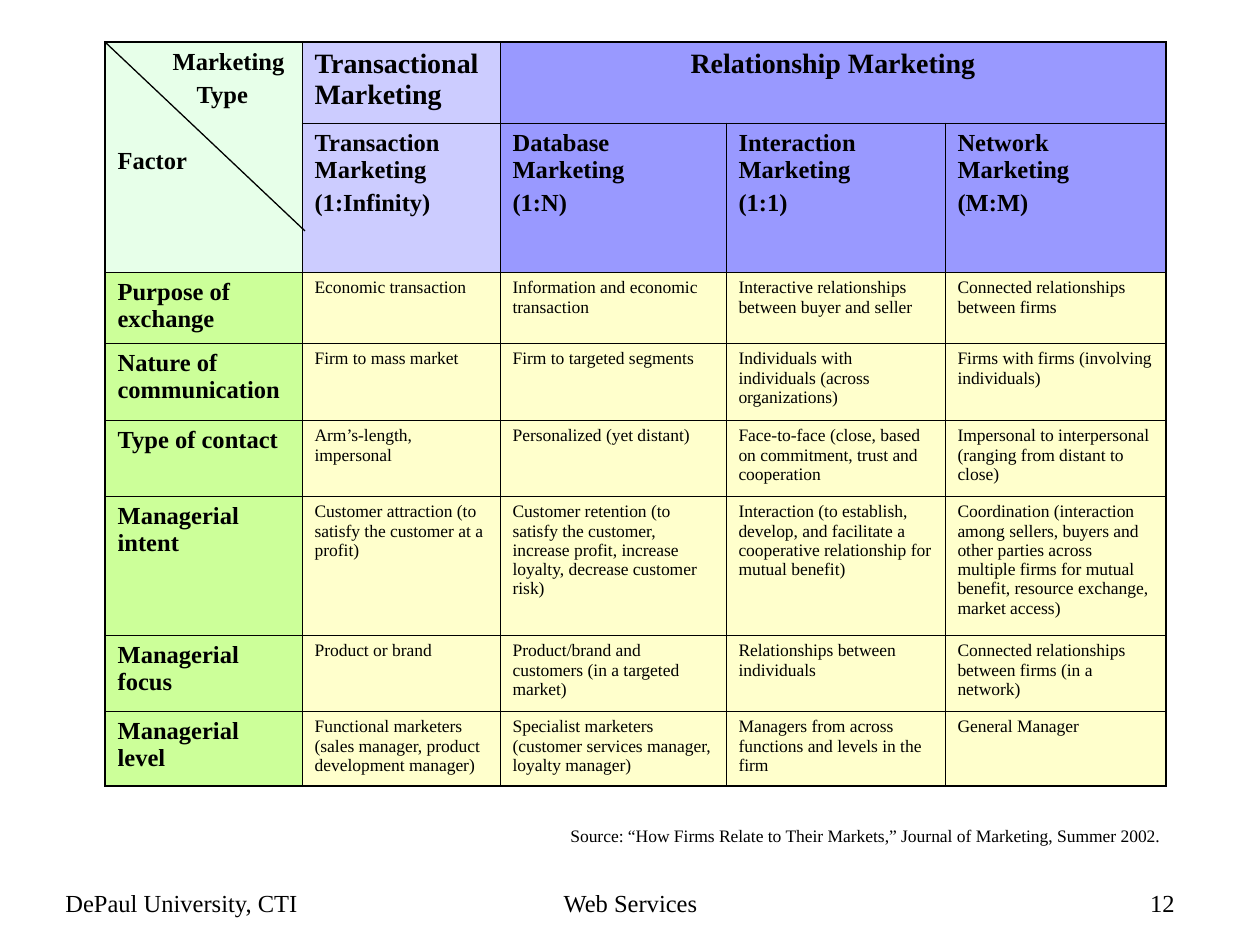
import pptx
import pptx.util
import pptx.dml.color
import pptx.enum.shapes
import pptx.enum.text
import pptx.oxml.ns
from lxml import etree

RGB = pptx.dml.color.RGBColor
ALIGN = pptx.enum.text.PP_ALIGN
SCALE = 914400 / 126
FONT = "Times New Roman"
BLACK = RGB(0x00, 0x00, 0x00)
MINT = RGB(0xE7, 0xFF, 0xE9)
LILAC = RGB(0xCC, 0xCC, 0xFF)
VIOLET = RGB(0x99, 0x99, 0xFF)
GREEN = RGB(0xCC, 0xFF, 0x99)
CREAM = RGB(0xFF, 0xFF, 0xCC)

LEFT, TOP = 105, 42
COLS = [197, 198, 226, 219, 221]
ROWS = [81, 149, 71, 77, 76, 139, 76, 75]
THIN, THICK = 0.45, 1.08

TYPES = [
    ("Transaction Marketing", "(1:Infinity)"),
    ("Database Marketing", "(1:N)"),
    ("Interaction Marketing", "(1:1)"),
    ("Network Marketing", "(M:M)"),
]
FACTORS = [
    ("Purpose of exchange", "Economic transaction",
     "Information and economic transaction",
     "Interactive relationships between buyer and seller",
     "Connected relationships between firms"),
    ("Nature of communication", "Firm to mass market",
     "Firm to targeted segments",
     "Individuals with individuals (across organizations)",
     "Firms with firms (involving individuals)"),
    ("Type of contact", "Arm’s-length, impersonal",
     "Personalized (yet distant)",
     "Face-to-face (close, based on commitment, trust and cooperation",
     "Impersonal to interpersonal (ranging from distant to close)"),
    ("Managerial intent",
     "Customer attraction (to satisfy the customer at a profit)",
     "Customer retention (to satisfy the customer, increase profit, "
     "increase loyalty, decrease customer risk)",
     "Interaction (to establish, develop, and facilitate a cooperative "
     "relationship for mutual benefit)",
     "Coordination (interaction among sellers, buyers and other parties "
     "across multiple firms for mutual benefit, resource exchange, market access)"),
    ("Managerial focus", "Product or brand",
     "Product/brand and customers (in a targeted market)",
     "Relationships between individuals",
     "Connected relationships between firms (in a network)"),
    ("Managerial level",
     "Functional marketers (sales manager, product development manager)",
     "Specialist marketers (customer services manager, loyalty manager)",
     "Managers from across functions and levels in the firm",
     "General Manager"),
]


def px(num):
    return pptx.util.Emu(round(num * SCALE))


def write(frame, *lines, size=14, bold=False, align=ALIGN.LEFT, gaps=(), dents=()):
    for num, line in enumerate(lines):
        para = frame.paragraphs[0] if num == 0 else frame.add_paragraph()
        para.alignment = align
        if num:
            para.space_before = pptx.util.Pt(gaps[num - 1] if gaps else 3.5)
        if dents:
            props = para._p.get_or_add_pPr()
            props.set("marL", str(px(dents[num])))
            props.set("indent", "0")
        run = para.add_run()
        run.text = line
        run.font.name = FONT
        run.font.size = pptx.util.Pt(size)
        run.font.bold = bold
        run.font.color.rgb = BLACK


def border(cell, row, col):
    outer = {
        "L": col == 0,
        "R": col + cell.span_width == len(COLS),
        "T": row == 0,
        "B": row == len(ROWS) - 1,
    }
    props = cell._tc.get_or_add_tcPr()
    tag = pptx.oxml.ns.qn
    for side, edge in outer.items():
        width = pptx.util.Pt(THICK if edge else THIN)
        line = etree.SubElement(props, tag(f"a:ln{side}"), w=str(width))
        fill = etree.SubElement(line, tag("a:solidFill"))
        etree.SubElement(fill, tag("a:srgbClr"), val=str(BLACK))


def tint(row, col):
    if row < 2:
        return (MINT, LILAC, VIOLET, VIOLET, VIOLET)[col]
    return CREAM if col else GREEN


def grid(slide):
    frame = slide.shapes.add_table(
        len(ROWS), len(COLS), px(LEFT), px(TOP), px(sum(COLS)), px(sum(ROWS)))
    table = frame.table
    table.first_row = table.horz_banding = False
    for part, width in zip(table.columns, COLS):
        part.width = px(width)
    for part, height in zip(table.rows, ROWS):
        part.height = px(height)
    table.cell(0, 0).merge(table.cell(1, 0))
    table.cell(0, 2).merge(table.cell(0, 4))
    for row in range(len(ROWS)):
        for col in range(len(COLS)):
            cell = table.cell(row, col)
            border(cell, row, col)
            cell.fill.solid()
            cell.fill.fore_color.rgb = tint(row, col)
    return table


def fill_in(table):
    def put(row, col, *lines, **form):
        write(table.cell(row, col).text_frame, *lines, **form)

    put(0, 0, "Marketing", "Type", "Factor", bold=True,
        gaps=(3.5, 22.5), dents=(55, 79, 0))
    put(0, 1, "Transactional Marketing", size=16, bold=True)
    put(0, 2, "Relationship Marketing", size=16, bold=True, align=ALIGN.CENTER)
    for col, lines in enumerate(TYPES, 1):
        put(1, col, *lines, bold=True)
    for row, texts in enumerate(FACTORS, 2):
        for col, text in enumerate(texts):
            put(row, col, text, size=10 if col else 14, bold=col == 0)


def rule(slide, left, top, right, low):
    line = slide.shapes.add_connector(
        pptx.enum.shapes.MSO_CONNECTOR.STRAIGHT, px(left), px(top), px(right), px(low))
    line.line.color.rgb = BLACK
    line.line.width = pptx.util.Pt(0.75)
    etree.SubElement(line._element.spPr, pptx.oxml.ns.qn("a:effectLst"))


def label(slide, text, left, top, width, height, wrap=True, **form):
    box = slide.shapes.add_textbox(px(left), px(top), px(width), px(height))
    box.text_frame.word_wrap = wrap
    write(box.text_frame, text, **form)


def main():
    deck = pptx.Presentation()
    deck.slide_width, deck.slide_height = px(1260), px(945)
    slide = deck.slides.add_slide(deck.slide_layouts[6])
    fill_in(grid(slide))
    rule(slide, LEFT, TOP, 305, 231)
    label(slide,
          "Source: “How Firms Relate to Their Markets,” Journal of Marketing, Summer 2002.",
          558, 819, 615, 34, wrap=False, size=10)
    label(slide, "Web Services", 431, 882, 399, 42, align=ALIGN.CENTER)
    label(slide, "12", 903, 882, 284, 42, align=ALIGN.RIGHT)
    label(slide, "DePaul University, CTI", 53, 882, 305, 42)
    deck.save("out.pptx")


if __name__ == "__main__":
    main()
